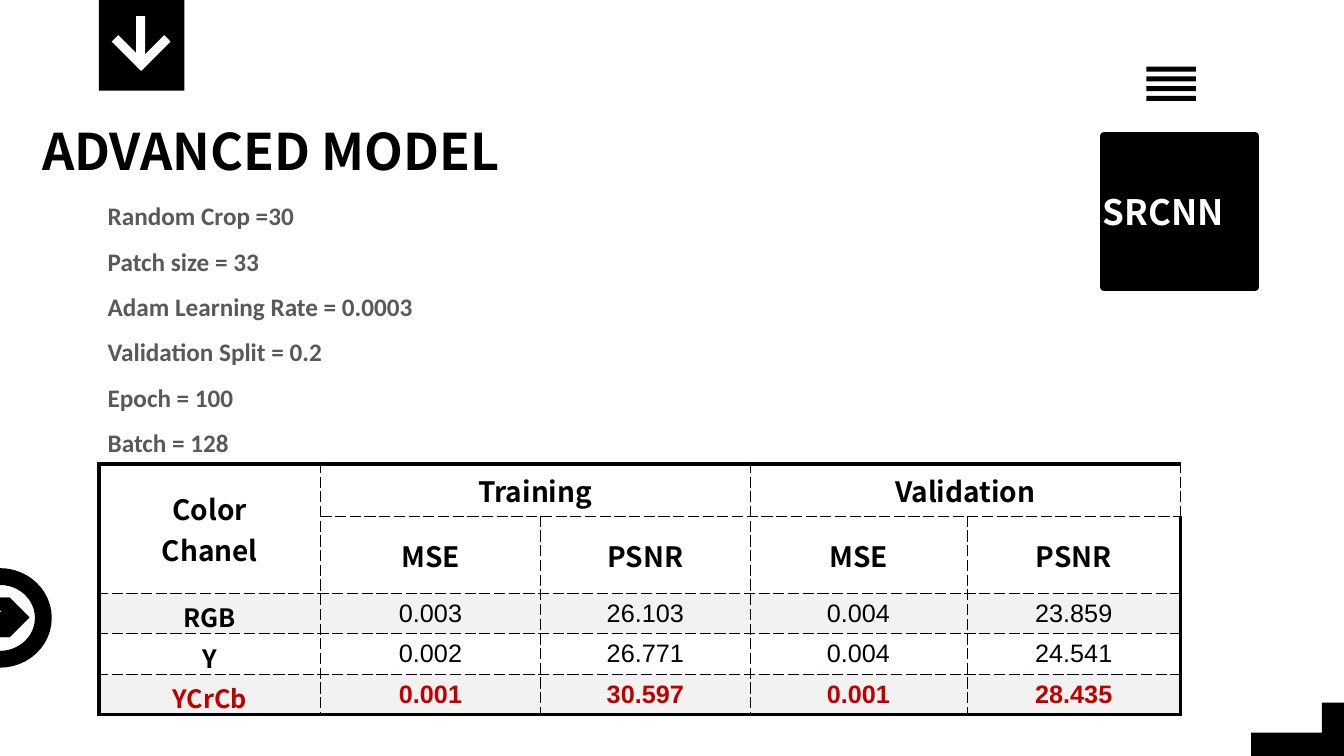
from dataclasses import dataclass

import pptx
import pptx.dml.color
import pptx.enum.shapes
import pptx.enum.text
import pptx.oxml
import pptx.oxml.ns
import pptx.util

Inches, Pt = pptx.util.Inches, pptx.util.Pt
SHAPE = pptx.enum.shapes.MSO_SHAPE
ALIGN = pptx.enum.text.PP_ALIGN
BLACK, WHITE, GREY, RED, BAND = "000000", "FFFFFF", "595959", "C00000", "F2F2F2"
HEADING = "Noto Sans CJK SC"


@dataclass
class Block:
    left: float
    top: float
    width: float
    height: float
    fill: str | None = BLACK
    line_width: float = 0
    kind: SHAPE = SHAPE.RECTANGLE
    rotation: float = 0


@dataclass
class Label:
    left: float
    top: float
    width: float
    height: float
    lines: list[str]
    size: float
    color: str
    font: str = HEADING
    align: ALIGN = ALIGN.LEFT
    spacing: float = 1.0
    wrap: bool = True


def rgb(color: str) -> pptx.dml.color.RGBColor:
    return pptx.dml.color.RGBColor.from_string(color)


def paint(sp, fill: str | None, line_width: float) -> None:
    sp.shadow.inherit = False
    if fill:
        sp.fill.solid()
        sp.fill.fore_color.rgb = rgb(fill)
    else:
        sp.fill.background()
    if line_width:
        sp.line.color.rgb = rgb(BLACK)
        sp.line.width = Pt(line_width)
    else:
        sp.line.fill.background()


def add_block(shapes, b: Block) -> None:
    sp = shapes.add_shape(b.kind, Inches(b.left), Inches(b.top), Inches(b.width), Inches(b.height))
    sp.rotation = b.rotation
    paint(sp, b.fill, b.line_width)


def write(tf, lines: list[str], size: float, color: str, font: str, bold: bool,
          align: ALIGN, spacing: float = 1.0) -> None:
    for i, line in enumerate(lines):
        p = tf.add_paragraph() if i else tf.paragraphs[0]
        p.text = line
        p.alignment = align
        p.line_spacing = spacing
        p.font.size, p.font.name, p.font.bold = Pt(size), font, bold
        p.font.color.rgb = rgb(color)


def add_label(shapes, t: Label) -> None:
    tf = shapes.add_textbox(Inches(t.left), Inches(t.top), Inches(t.width),
                            Inches(t.height)).text_frame
    tf.word_wrap = t.wrap
    tf.auto_size = pptx.enum.text.MSO_AUTO_SIZE.SHAPE_TO_FIT_TEXT
    write(tf, t.lines, t.size, t.color, t.font, True, t.align, t.spacing)


def set_borders(cell, outer_sides: str) -> None:
    """Draw thick solid lines on the outer sides and thin dashes on the others."""
    tc_pr = cell._tc.get_or_add_tcPr()
    for i, side in enumerate("LRTB"):
        width, dash = (Pt(3), "solid") if side in outer_sides else (Pt(0.5), "sysDash")
        tc_pr.insert(i, pptx.oxml.parse_xml(
            f'<a:ln{side} {pptx.oxml.ns.nsdecls("a")} w="{width}"><a:solidFill>'
            f'<a:srgbClr val="{BLACK}"/></a:solidFill><a:prstDash val="{dash}"/></a:ln{side}>'))


def add_results(shapes) -> None:
    rows = [
        ["Color\nChanel", "Training", "", "Validation", ""],
        ["", "MSE", "PSNR", "MSE", "PSNR"],
        ["RGB", "0.003", "26.103", "0.004", "23.859"],
        ["Y", "0.002", "26.771", "0.004", "24.541"],
        ["YCrCb", "0.001", "30.597", "0.001", "28.435"],
    ]
    widths = [2.2, 2.18, 2.08, 2.15, 2.12]
    heights = [0.52, 0.52, 0.23, 0.23, 0.23]
    last_row, last_col = len(rows) - 1, len(widths) - 1
    table = shapes.add_table(len(rows), len(widths), Inches(0.98), Inches(4.6),
                             Inches(sum(widths)), Inches(sum(heights))).table
    table.first_row = table.horz_banding = False
    for column, width in zip(table.columns, widths):
        column.width = Inches(width)
    for row, height in zip(table.rows, heights):
        row.height = Inches(height)
    for first, last in [((0, 0), (1, 0)), ((0, 1), (0, 2)), ((0, 3), (0, 4))]:
        table.cell(*first).merge(table.cell(*last))
    for i, row in enumerate(rows):
        for j, text in enumerate(row):
            cell = table.cell(i, j)
            is_value = i > 1 and j > 0
            is_best = i == last_row
            cell.vertical_anchor = pptx.enum.text.MSO_ANCHOR.MIDDLE
            cell.margin_left = cell.margin_right = Inches(0.05)
            cell.margin_top = cell.margin_bottom = Inches(0.05)
            if i in (2, 4):
                cell.fill.solid()
                cell.fill.fore_color.rgb = rgb(BAND)
            else:
                cell.fill.background()
            write(cell.text_frame, text.split("\n"), 18 if i > 1 else 20,
                  RED if is_best else BLACK, "Arial" if is_value else HEADING,
                  is_best or not is_value, ALIGN.CENTER)
            set_borders(cell, "L" * (j == 0) + "R" * (j == last_col)
                        + "T" * (i == 0) + "B" * (i == last_row))


def add_corner_step(shapes) -> None:
    points = [(13.33, 6.97), (13.33, 7.5), (12.41, 7.5), (12.41, 7.27), (13.11, 7.27),
              (13.11, 6.97)]
    corners = [(Inches(x), Inches(y)) for x, y in points]
    builder = shapes.build_freeform(*corners[0])
    builder.add_line_segments(corners[1:], close=True)
    paint(builder.convert_to_shape(), BLACK, 0)


def main() -> None:
    prs = pptx.Presentation()
    prs.slide_width, prs.slide_height = Inches(13.33), Inches(7.5)
    shapes = prs.slides.add_slide(prs.slide_layouts[6]).shapes

    model_tile = Block(10.95, 1.35, 1.5, 1.5, line_width=6)
    down_arrow = [
        Block(0.98, 0, 0.85, 0.9),
        Block(1.47, 0.32, 0.09, 0.41, WHITE, rotation=225),
        Block(1.24, 0.32, 0.09, 0.41, WHITE, rotation=135),
        Block(1.35, 0.16, 0.09, 0.49, WHITE),
    ]
    menu_bars = [Block(11.37, 0.66 + 0.097 * i, 0.49, 0.05) for i in range(4)]
    side_arrow = [
        Block(-0.3, 6.07, 0.41, 0.12, line_width=0.25),
        Block(-0.12, 5.93, 0.41, 0.39, line_width=0.25, kind=SHAPE.CHEVRON),
        Block(-0.43, 5.72, 0.86, 0.82, None, 12, SHAPE.OVAL),
    ]
    settings = ["Random Crop =30", "Patch size = 33", "Adam Learning Rate = 0.0003",
                "Validation Split = 0.2", "Epoch = 100", "Batch = 128"]

    add_label(shapes, Label(0.32, 1.14, 6.67, 0.71, ["ADVANCED MODEL"], 36, BLACK))
    add_block(shapes, model_tile)
    add_label(shapes, Label(10.84, 1.84, 1.71, 0.52, ["SRCNN"], 25, WHITE,
                            align=ALIGN.JUSTIFY))
    for block in down_arrow + menu_bars:
        add_block(shapes, block)
    add_results(shapes)
    for block in side_arrow:
        add_block(shapes, block)
    add_corner_step(shapes)
    add_label(shapes, Label(0.97, 1.79, 3.43, 2.78, settings, 18, GREY, "Calibri",
                            spacing=1.5, wrap=False))
    prs.save("out.pptx")


if __name__ == "__main__":
    main()
